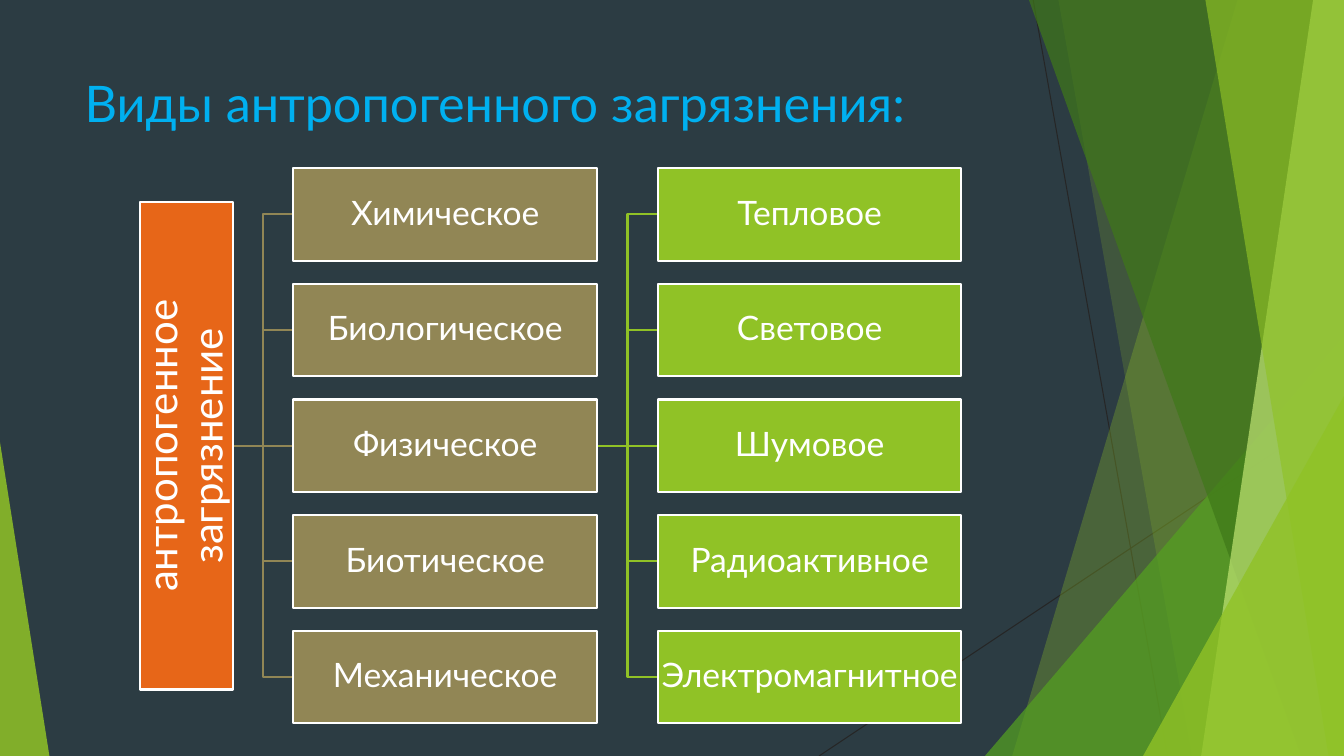
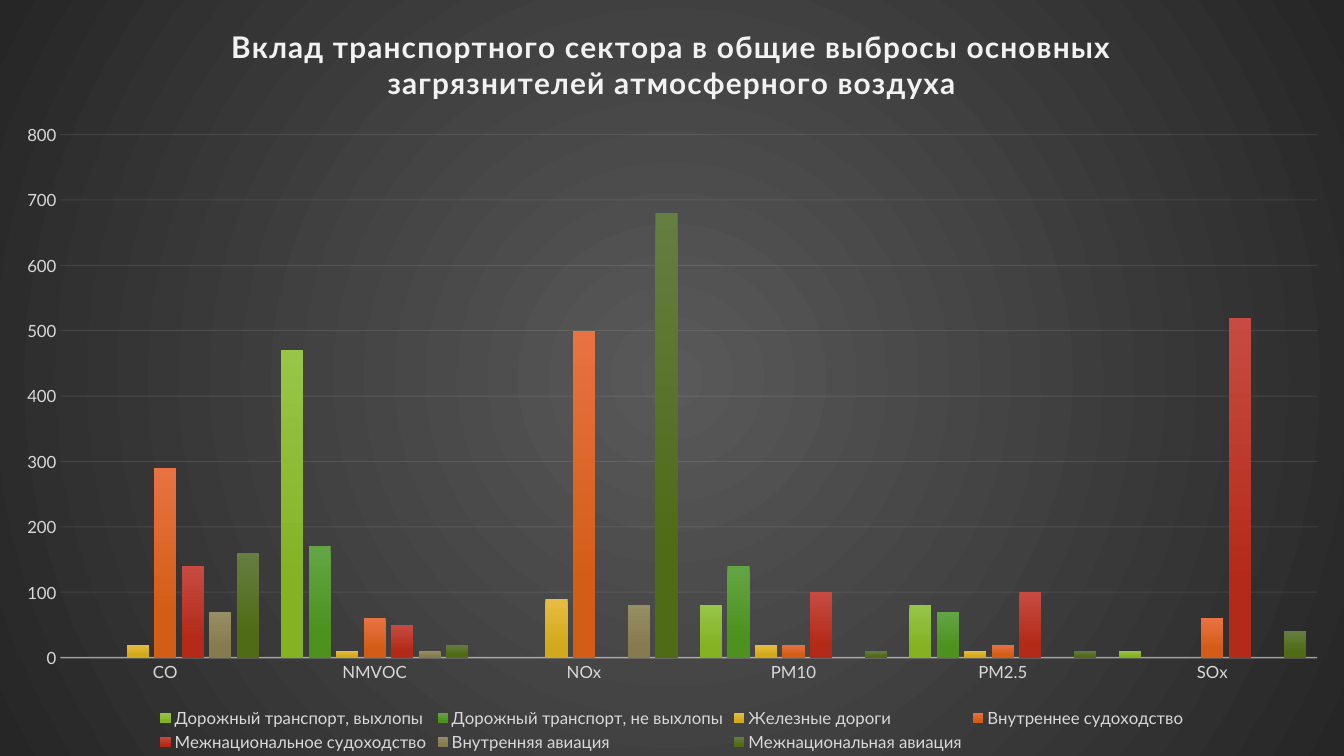
"""Build two slides on anthropogenic pollution: a tree of kinds and a transport emissions chart."""
from lxml import etree
from pptx import Presentation
from pptx.chart.data import CategoryChartData
from pptx.dml.color import RGBColor
from pptx.enum.chart import XL_CHART_TYPE, XL_LEGEND_POSITION, XL_TICK_MARK
from pptx.enum.shapes import MSO_CONNECTOR, MSO_SHAPE
from pptx.enum.text import MSO_ANCHOR, PP_ALIGN
from pptx.oxml import parse_xml
from pptx.oxml.ns import nsdecls, qn
from pptx.util import Pt

STRAIGHT, ELBOW = MSO_CONNECTOR.STRAIGHT, MSO_CONNECTOR.ELBOW
RECTANGLE, TRIANGLE = MSO_SHAPE.RECTANGLE, MSO_SHAPE.ISOSCELES_TRIANGLE
CENTER, MIDDLE, TOP = PP_ALIGN.CENTER, MSO_ANCHOR.MIDDLE, MSO_ANCHOR.TOP
COLUMNS, BOTTOM, NO_TICK = XL_CHART_TYPE.COLUMN_CLUSTERED, XL_LEGEND_POSITION.BOTTOM, XL_TICK_MARK.NONE

FONT = "Lato"
WIDTH, HEIGHT = 960, 540
SLATE = RGBColor(0x2C, 0x3C, 0x43)
CHARCOAL = RGBColor(0x26, 0x26, 0x26)
GRAY = RGBColor(0x59, 0x59, 0x59)
LIGHT_GRAY = RGBColor(0xD9, 0xD9, 0xD9)
PALE = RGBColor(0xF2, 0xF2, 0xF2)
WHITE = RGBColor(0xFF, 0xFF, 0xFF)
SKY = RGBColor(0x00, 0xB0, 0xF0)
LIME = RGBColor(0x90, 0xC2, 0x26)
GREEN = RGBColor(0x54, 0xA0, 0x21)
FOREST = RGBColor(0x3F, 0x78, 0x19)
PISTACHIO = RGBColor(0xC0, 0xE4, 0x74)
ORANGE = RGBColor(0xE7, 0x66, 0x18)
KHAKI = RGBColor(0x91, 0x86, 0x55)

THIN_LINES = [(738, 0, 834, HEIGHT), (WIDTH, 290, 585, HEIGHT)]
FACETS = [
    {"color": LIME, "alpha": 30, "top_x": 884, "bottom_x": 723},
    {"color": LIME, "alpha": 20, "top_x": 756, "bottom_x": 851.5},
    {"color": GREEN, "alpha": 72, "box": (703.5, 240, 256.5, 300), "apex": 1},
    {"color": FOREST, "alpha": 70, "top_x": 735, "bottom_x": 929.5},
    {"color": PISTACHIO, "alpha": 70, "top_x": 938, "bottom_x": 858},
    {"color": LIME, "alpha": 65, "top_x": 861, "bottom_x": 949},
    {"color": LIME, "alpha": 80, "box": (816.5, 283, 143.5, 257), "apex": 1},
    {"color": LIME, "alpha": 85, "box": (0, 316, 35.3, 224), "apex": 0},
]

TREE_TITLE = "Виды антропогенного загрязнения:"
ROOT = "антропогенное загрязнение"
BRANCHES = [
    (KHAKI, ["Химическое", "Биологическое", "Физическое", "Биотическое", "Механическое"]),
    (LIME, ["Тепловое", "Световое", "Шумовое", "Радиоактивное", "Электромагнитное"]),
]
ROOT_LEFT, ROOT_LENGTH, TREE_MIDDLE = 100.1, 348.2, 318.4
BOX_WIDTH, BOX_HEIGHT, COLUMN_GAP = 216.9, 66.1, 43.4
ROW_PITCH = BOX_HEIGHT * 1.25

CHART_TITLE = "Вклад транспортного сектора в общие выбросы основных загрязнителей атмосферного воздуха"
POLLUTANTS = ["CO", "NMVOC", "NOx", "PM10", "PM2.5", "SOx"]
SERIES = [
    ("Дорожный транспорт, выхлопы", "97C547", "84B223", [0, 470, 0, 80, 80, 10]),
    ("Дорожный транспорт, не выхлопы", "63A545", "4D921E", [0, 170, 0, 140, 70, 0]),
    ("Железные дороги", "E7BC43", "D2A91B", [20, 10, 90, 20, 10, 0]),
    ("Внутреннее судоходство", "E87242", "D35D16", [290, 60, 500, 20, 20, 60]),
    ("Межнациональное судоходство", "C74B42", "B32B18", [140, 50, 0, 100, 100, 520]),
    ("Внутренняя авиация", "988E64", "857B4E", [70, 10, 80, 0, 0, 0]),
    ("Межнациональная авиация", "657E41", "4F6B15", [160, 20, 680, 10, 10, 40]),
]
PLOT_AREA = {"x": 0.045, "y": 0.178, "w": 0.935, "h": 0.692}


def set_alpha(element, percent):
    for color in element.iter(qn("a:srgbClr")):
        etree.SubElement(color, qn("a:alpha")).set("val", str(percent * 1000))


def style_font(font, size, color, bold=False):
    font.name, font.size, font.bold = FONT, Pt(size), bold
    font.color.rgb = color


def write_text(shape, text, size, color, inset_x, inset_y, anchor):
    frame = shape.text_frame
    frame.word_wrap = True
    frame.margin_left = frame.margin_right = Pt(inset_x)
    frame.margin_top = frame.margin_bottom = Pt(inset_y)
    frame.vertical_anchor = anchor
    frame.text = text
    paragraph = frame.paragraphs[0]
    style_font(paragraph.runs[0].font, size, color)
    return paragraph


def add_line(slide, kind, ends, color, width):
    line = slide.shapes.add_connector(kind, *(Pt(value) for value in ends))
    line.line.color.rgb = color
    line.line.width = Pt(width)
    etree.SubElement(line.element.spPr, qn("a:effectLst"))
    return line


def add_facet(slide, facet):
    if "box" in facet:
        shape = slide.shapes.add_shape(TRIANGLE, *(Pt(value) for value in facet["box"]))
        shape.adjustments[0] = facet["apex"]
    else:
        outline = slide.shapes.build_freeform(Pt(facet["top_x"]), 0)
        corners = [(WIDTH, 0), (WIDTH, HEIGHT), (facet["bottom_x"], HEIGHT)]
        outline.add_line_segments([(Pt(x), Pt(y)) for x, y in corners], close=True)
        shape = outline.convert_to_shape()
    shape.shadow.inherit = False
    shape.fill.solid()
    shape.fill.fore_color.rgb = facet["color"]
    set_alpha(shape.element.spPr, facet["alpha"])
    shape.line.fill.background()
    return shape


def move_backdrop_to_layout(slide, layout):
    backdrop = [add_line(slide, STRAIGHT, ends, CHARCOAL, 0.75) for ends in THIN_LINES]
    backdrop += [add_facet(slide, facet) for facet in FACETS]
    for shape in backdrop:
        layout.shapes.element.append(shape.element)


def add_box(slide, left, middle, width, text, size, color):
    box = slide.shapes.add_shape(
        RECTANGLE, Pt(left), Pt(middle - BOX_HEIGHT / 2), Pt(width), Pt(BOX_HEIGHT))
    box.shadow.inherit = False
    box.fill.solid()
    box.fill.fore_color.rgb = color
    box.line.color.rgb = WHITE
    box.line.width = Pt(1.5)
    paragraph = write_text(box, text, size, WHITE, 1.2, 1.2, MIDDLE)
    paragraph.alignment = CENTER
    paragraph.line_spacing = 0.9
    return box


def fill_tree_slide(slide):
    title = slide.shapes.add_textbox(Pt(53.3), Pt(48.2), Pt(677), Pt(104))
    write_text(title, TREE_TITLE, 36, SKY, 7.2, 3.6, TOP)
    start = ROOT_LEFT + BOX_HEIGHT
    boxes = []
    for color, names in BRANCHES:
        left = start + COLUMN_GAP
        for row, name in enumerate(names):
            middle = TREE_MIDDLE + (row - (len(names) - 1) / 2) * ROW_PITCH
            kind = STRAIGHT if middle == TREE_MIDDLE else ELBOW
            add_line(slide, kind, (start, TREE_MIDDLE, left, middle), color, 1.5)
            boxes.append((left, middle, BOX_WIDTH, name, 24, color))
        start = left + BOX_WIDTH
    root_left = ROOT_LEFT + (BOX_HEIGHT - ROOT_LENGTH) / 2
    root = add_box(slide, root_left, TREE_MIDDLE, ROOT_LENGTH, ROOT, 30, ORANGE)
    root.rotation = 270
    for box in boxes:
        add_box(slide, *box)


def style_chart_background(chart):
    stops = "".join(
        f'<a:gs pos="{position}"><a:srgbClr val="{color}"/></a:gs>'
        for position, color in ((0, GRAY), (100000, CHARCOAL)))
    properties = parse_xml(
        f'<c:spPr {nsdecls("c", "a")}><a:gradFill><a:gsLst>{stops}</a:gsLst>'
        '<a:path path="circle"><a:fillToRect l="50000" t="50000" r="50000" b="50000"/></a:path>'
        '</a:gradFill><a:ln><a:noFill/></a:ln></c:spPr>')
    chart.element.find(qn("c:txPr")).addprevious(properties)


def place_plot_area(chart):
    plot_area = chart.element.find(qn("c:chart")).find(qn("c:plotArea"))
    for automatic in plot_area.findall(qn("c:layout")):
        plot_area.remove(automatic)
    modes = '<c:layoutTarget val="inner"/><c:xMode val="edge"/><c:yMode val="edge"/>'
    sizes = "".join(f'<c:{name} val="{value}"/>' for name, value in PLOT_AREA.items())
    plot_area.insert(0, parse_xml(
        f'<c:layout {nsdecls("c")}><c:manualLayout>{modes}{sizes}</c:manualLayout></c:layout>'))


def style_line(line, width, alpha, element):
    line.color.rgb = PALE
    line.width = Pt(width)
    set_alpha(element, alpha)


def style_axes(chart):
    category_axis, value_axis = chart.category_axis, chart.value_axis
    for axis in (category_axis, value_axis):
        axis.major_tick_mark = axis.minor_tick_mark = NO_TICK
        style_font(axis.tick_labels.font, 12, LIGHT_GRAY)
    category_line = category_axis.format.line
    style_line(category_line, 1, 54, category_axis.element_spPr
               if hasattr(category_axis, "element_spPr")
               else chart.element.find(".//" + qn("c:catAx")).find(qn("c:spPr")))
    value_axis.minimum_scale, value_axis.maximum_scale, value_axis.major_unit = 0, 800, 100
    value_axis.format.line.fill.background()
    value_axis.has_major_gridlines = True
    style_line(value_axis.major_gridlines.format.line, 0.75, 10,
               chart.element.find(".//" + qn("c:majorGridlines")))


def fill_chart_slide(slide):
    data = CategoryChartData()
    data.categories = POLLUTANTS
    for name, _, _, values in SERIES:
        data.add_series(name, values)
    chart = slide.shapes.add_chart(COLUMNS, 0, 0, Pt(WIDTH), Pt(HEIGHT), data).chart
    style_font(chart.font, 10, WHITE)
    style_chart_background(chart)
    place_plot_area(chart)
    style_axes(chart)

    chart.has_title = True
    chart.chart_title.text_frame.text = CHART_TITLE
    run = chart.chart_title.text_frame.paragraphs[0].runs[0]
    style_font(run.font, 21.3, PALE, bold=True)
    run.font.element_spacing = None
    chart.element.find(".//" + qn("a:rPr")).set("spc", "100")

    chart.has_legend = True
    chart.legend.position = BOTTOM
    chart.legend.include_in_layout = False
    style_font(chart.legend.font, 12, LIGHT_GRAY)

    plot = chart.plots[0]
    plot.gap_width, plot.overlap, plot.vary_by_categories = 100, -24, False
    for series, (_, light, dark, _) in zip(plot.series, SERIES):
        fill = series.format.fill
        fill.gradient()
        fill.gradient_angle = 270
        for stop, color, position in zip(fill.gradient_stops, (light, dark), (0, 0.78)):
            stop.color.rgb = RGBColor.from_string(color)
            stop.position = position


def main():
    presentation = Presentation()
    presentation.slide_width, presentation.slide_height = Pt(WIDTH), Pt(HEIGHT)
    background = presentation.slide_master.background.fill
    background.solid()
    background.fore_color.rgb = SLATE
    blank = presentation.slide_layouts[6]
    tree_slide, chart_slide = (presentation.slides.add_slide(blank) for _ in range(2))
    move_backdrop_to_layout(tree_slide, blank)
    fill_tree_slide(tree_slide)
    fill_chart_slide(chart_slide)
    presentation.save("out.pptx")


if __name__ == "__main__":
    main()
